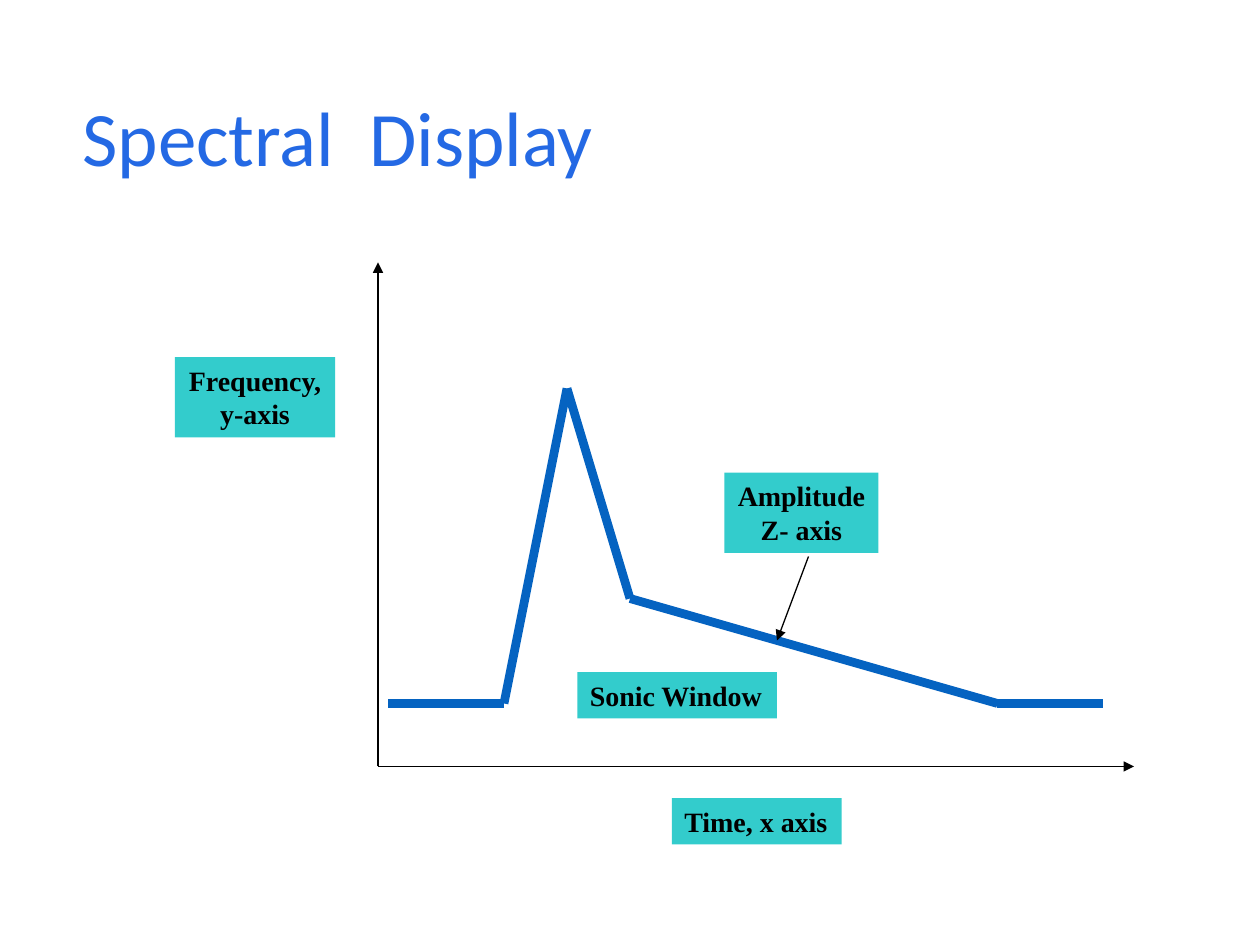
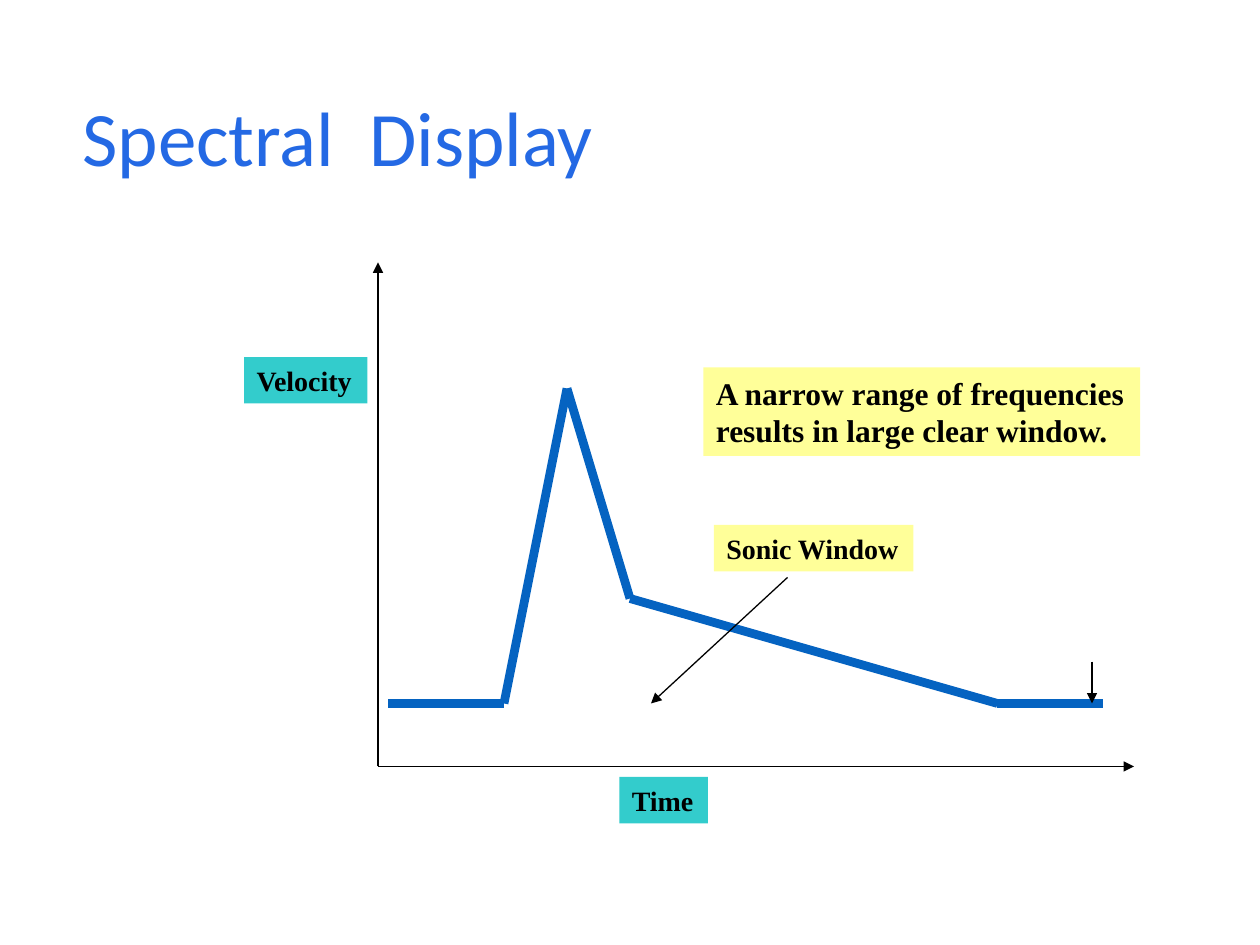
"""Build two slides that explain the spectral display with an axis diagram."""
from dataclasses import dataclass
from itertools import pairwise

from pptx import Presentation
from pptx.dml.color import RGBColor
from pptx.enum.shapes import MSO_CONNECTOR as Connector, MSO_SHAPE as Preset
from pptx.enum.text import MSO_ANCHOR as Anchor, MSO_AUTO_SIZE as AutoSize, PP_ALIGN as Align
from pptx.oxml.ns import qn
from pptx.oxml.xmlchemy import OxmlElement
from pptx.slide import Slide
from pptx.util import Pt

BLACK = RGBColor(0x00, 0x00, 0x00)
TITLE_BLUE = RGBColor(0x24, 0x69, 0xE4)
CURVE_BLUE = RGBColor(0x05, 0x63, 0xC1)
TEAL = RGBColor(0x33, 0xCC, 0xCC)
YELLOW = RGBColor(0xFF, 0xFF, 0x99)

Point = tuple[float, float]

ORIGIN: Point = (216, 438)
AXIS_ENDS: tuple[Point, ...] = ((216, 150), (648, 438))
CURVE: tuple[Point, ...] = ((222, 402), (288, 402), (324, 222), (360, 342), (570, 402), (630, 402))
THIN, THICK = 0.75, 5
TITLE = "Spectral  Display"
TITLE_BOX = {"left": Pt(30), "top": Pt(48), "width": Pt(648), "height": Pt(66)}
TITLE_FRAME = {"margin_left": Pt(17), "vertical_anchor": Anchor.MIDDLE, "auto_size": AutoSize.NONE}
TITLE_FONT = {"name": "Calibri", "size": Pt(44)}
LABEL_FRAME = {"vertical_anchor": Anchor.TOP, "auto_size": AutoSize.SHAPE_TO_FIT_TEXT}


@dataclass(frozen=True)
class Label:
    """A filled box holding one or more lines of bold text."""
    lines: tuple[str, ...]
    left: float
    top: float
    width: float
    height: float = 26.5
    fill: RGBColor = TEAL
    size: float = 16
    align: Align = Align.LEFT
    wrap: bool = False


@dataclass(frozen=True)
class Arrow:
    """A thin pointer from one point to another."""
    start: Point
    end: Point


@dataclass(frozen=True)
class Diagram:
    """The labels and pointers that one slide adds to the shared plot."""
    labels: tuple[Label, ...]
    arrows: tuple[Arrow, ...]


DIAGRAMS = (
    Diagram(
        labels=(
            Label(("Amplitude", "Z- axis"), 414, 270, 88, 46, align=Align.CENTER),
            Label(("Frequency,", "y-axis"), 100, 204, 91.5, 46, align=Align.CENTER),
            Label(("Time, x axis",), 384, 456, 97),
            Label(("Sonic Window",), 330, 384, 114),
        ),
        arrows=(Arrow((462, 318), (444, 366)),),
    ),
    Diagram(
        labels=(
            Label(("Sonic Window",), 408, 300, 114, fill=YELLOW, wrap=True),
            Label(("Velocity",), 139.5, 204, 70.5),
            Label(("Time",), 354, 444, 50.5),
            Label(("A narrow range of frequencies", "results in large clear window."),
                  402, 210, 249.5, 50.5, fill=YELLOW, size=18),
        ),
        arrows=(Arrow((624, 378), (624, 402)), Arrow((450, 330), (372, 402))),
    ),
)


def apply_format(target: object, values: dict) -> None:
    """Set each named attribute of the target."""
    for name, value in values.items():
        setattr(target, name, value)


def add_title(page: Slide) -> None:
    """Place and style the title placeholder."""
    title = page.shapes.title
    apply_format(title, TITLE_BOX)
    frame = title.text_frame
    frame.text = TITLE
    apply_format(frame, TITLE_FRAME)
    para = frame.paragraphs[0]
    apply_format(para, {"alignment": Align.LEFT, "line_spacing": 0.9})
    apply_format(para.font, TITLE_FONT)
    para.font.color.rgb = TITLE_BLUE


def add_line(page: Slide, start: Point, end: Point, color: RGBColor = BLACK,
             width: float = THIN, arrowhead: bool = True) -> None:
    """Draw a straight connector, with an arrowhead at its end if wanted."""
    connector = page.shapes.add_connector(Connector.STRAIGHT, *map(Pt, start + end))
    connector.line.color.rgb = color
    connector.line.width = Pt(width)
    properties = connector.element.spPr
    if arrowhead:
        tip = OxmlElement("a:tailEnd")
        tip.set("type", "triangle")
        properties.find(qn("a:ln")).append(tip)
    properties.append(OxmlElement("a:effectLst"))


def add_plot(page: Slide) -> None:
    """Draw the two axes and the spectral curve."""
    for axis_end in AXIS_ENDS:
        add_line(page, ORIGIN, axis_end)
    for start, end in pairwise(CURVE):
        add_line(page, start, end, CURVE_BLUE, THICK, arrowhead=False)


def add_label(page: Slide, label: Label) -> None:
    """Draw a filled box with its lines of text."""
    edges = map(Pt, (label.left, label.top, label.width, label.height))
    box = page.shapes.add_shape(Preset.RECTANGLE, *edges)
    box.shadow.inherit = False
    box.fill.solid()
    box.fill.fore_color.rgb = label.fill
    box.line.fill.background()
    frame = box.text_frame
    frame.text = "\n".join(label.lines)
    apply_format(frame, LABEL_FRAME | {"word_wrap": label.wrap})
    for para in frame.paragraphs:
        para.alignment = label.align
        apply_format(para.font, {"name": "Times New Roman", "size": Pt(label.size), "bold": True})
        para.font.color.rgb = BLACK


def main() -> None:
    """Build the deck and save it."""
    deck = Presentation()
    apply_format(deck, {"slide_width": Pt(720), "slide_height": Pt(540)})
    title_only = deck.slide_layouts.get_by_name("Title Only")
    for diagram in DIAGRAMS:
        page = deck.slides.add_slide(title_only)
        add_title(page)
        add_plot(page)
        for label in diagram.labels:
            add_label(page, label)
        for arrow in diagram.arrows:
            add_line(page, arrow.start, arrow.end)
    deck.save("out.pptx")


if __name__ == "__main__":
    main()
